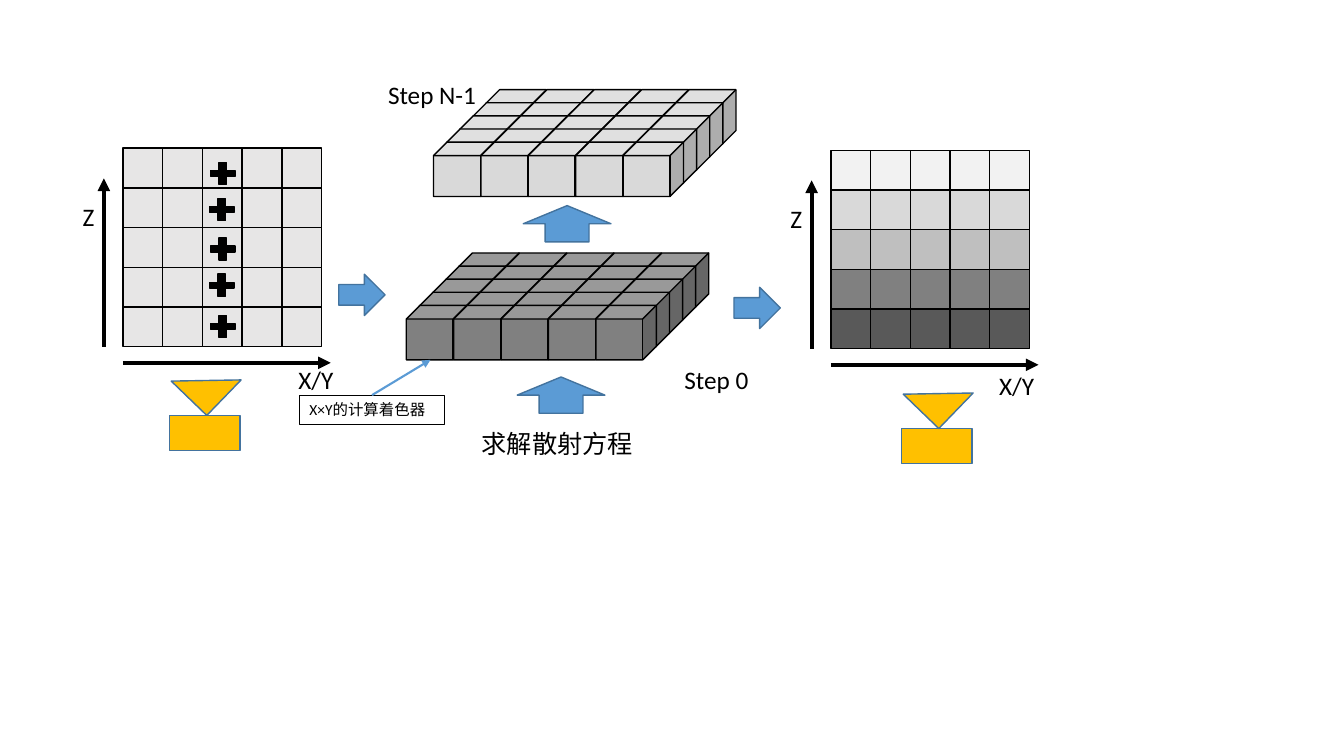
from lxml import etree
from pptx import Presentation
from pptx import util as u
from pptx.dml.color import RGBColor
from pptx.enum import shapes, text
from pptx.oxml import ns

MSO = shapes.MSO_SHAPE
BLACK, BLUE, BLUE_EDGE, GOLD = "000000", "5B9BD5", "43739E", "FFC000"
N = 5
GRID = 1.97
CELL = GRID / N


def rgb(value):
    return RGBColor.from_string(value)


class Diagram:
    font = "Calibri"

    def __init__(self, slide):
        self.s = slide

    def shape(self, kind, x, y, w, h, fill, line=BLACK, weight=1):
        sp = self.s.shapes.add_shape(kind, *map(u.Inches, (x, y, w, h)))
        sp.shadow.inherit = False
        if fill:
            sp.fill.solid()
            sp.fill.fore_color.rgb = rgb(fill)
        else:
            sp.fill.background()
        sp.line.color.rgb = rgb(line)
        sp.line.width = u.Pt(weight)
        return sp

    def set_text(self, sp, words, size):
        tf = sp.text_frame
        tf.text = words
        tf.word_wrap = False
        tf.auto_size = text.MSO_AUTO_SIZE.SHAPE_TO_FIT_TEXT
        p = tf.paragraphs[0]
        p.alignment = text.PP_ALIGN.LEFT
        r = p.runs[0]
        r.font.name = self.font
        r.font.size = u.Pt(size)
        r.font.color.rgb = rgb(BLACK)

    def label(self, words, x, y, w, h=0.4):
        sp = self.s.shapes.add_textbox(*map(u.Inches, (x, y, w, h)))
        self.set_text(sp, words, 18)

    def arrow(self, x1, y1, x2, y2, color=BLACK, weight=3):
        c = self.s.shapes.add_connector(
            shapes.MSO_CONNECTOR.STRAIGHT, *map(u.Inches, (x1, y1, x2, y2)))
        c.line.color.rgb = rgb(color)
        c.line.width = u.Pt(weight)
        ln = c._element.spPr.find(ns.qn("a:ln"))
        etree.SubElement(ln, ns.qn("a:tailEnd"), type="triangle")
        etree.SubElement(c._element.spPr, ns.qn("a:effectLst"))
        return c

    def panel(self, x, y, row_fills):
        """Square grid with one fill per row, plus its Z and X/Y axes."""
        for row, fill in enumerate(row_fills):
            for col in range(N):
                self.shape(MSO.RECTANGLE, x + col * CELL, y + row * CELL,
                           CELL, CELL, fill)
        self.arrow(x - 0.19, y + GRID, x - 0.19, y + 0.3)
        self.arrow(x, y + 2.13, x + 2.06, y + 2.13)
        self.label("Z", x - 0.5, y + 0.48, 0.32)

    def slab(self, x, y, fill):
        """Layer of cubes; x, y is the corner of the front left cube."""
        for depth in reversed(range(N)):
            for col in range(N):
                self.shape(MSO.CUBE, x + col * 0.47 + depth * 0.13,
                           y - depth * 0.13, 0.6, 0.54, fill)

    def camera(self, x, y):
        self.shape(MSO.RECTANGLE, x, y, 0.7, 0.35, GOLD, BLUE_EDGE)
        lens = self.shape(MSO.RIGHT_TRIANGLE, x + 0.12, y - 0.59,
                          0.49, 0.49, GOLD, BLUE_EDGE)
        lens.rotation = 314

    def block_arrow(self, kind, x, y, w, h):
        self.shape(kind, x, y, w, h, BLUE, BLUE_EDGE)


def main():
    prs = Presentation()
    prs.slide_width, prs.slide_height = u.Inches(13.33), u.Inches(7.5)
    d = Diagram(prs.slides.add_slide(prs.slide_layouts[6]))

    d.panel(1.22, 1.47, ["E7E6E6"] * N)
    for x, y in ((2.09, 1.61), (2.08, 1.97), (2.09, 2.36),
                 (2.08, 2.72), (2.09, 3.13)):
        plus = d.shape(MSO.CROSS, x, y, 0.24, 0.22, BLACK)
        plus.adjustments[0] = 0.37
    d.label("X/Y", 2.86, 3.57, 0.55)

    d.slab(4.3, 1.41, "D9D9D9")
    d.slab(4.03, 3.03, "808080")
    for x, y in ((5.19, 2.04), (5.13, 3.74)):
        d.block_arrow(MSO.UP_ARROW, x, y, 0.87, 0.36)

    d.panel(8.24, 1.49, ["F2F2F2", "D9D9D9", "BFBFBF", "808080", "595959"])
    d.label("X/Y", 9.81, 3.62, 0.55)

    for x, y in ((3.36, 2.72), (7.28, 2.85)):
        d.block_arrow(MSO.RIGHT_ARROW, x, y, 0.46, 0.41)
    for x, y in ((1.68, 4.12), (8.94, 4.25)):
        d.camera(x, y)

    d.label("求解散射方程", 4.68, 4.2, 1.72)
    d.label("Step 0", 6.69, 3.57, 0.84)
    d.label("Step N-1", 3.75, 0.74, 1.08)

    shader = d.shape(MSO.RECTANGLE, 2.97, 3.92, 1.44, 0.29, None, weight=0.75)
    d.set_text(shader, "X×Y的计算着色器", 11)
    pointer = d.arrow(3.69, 3.92, 4.27, 3.57, BLUE, 1.5)
    pointer.begin_connect(shader, 0)

    prs.save("out.pptx")


if __name__ == "__main__":
    main()
